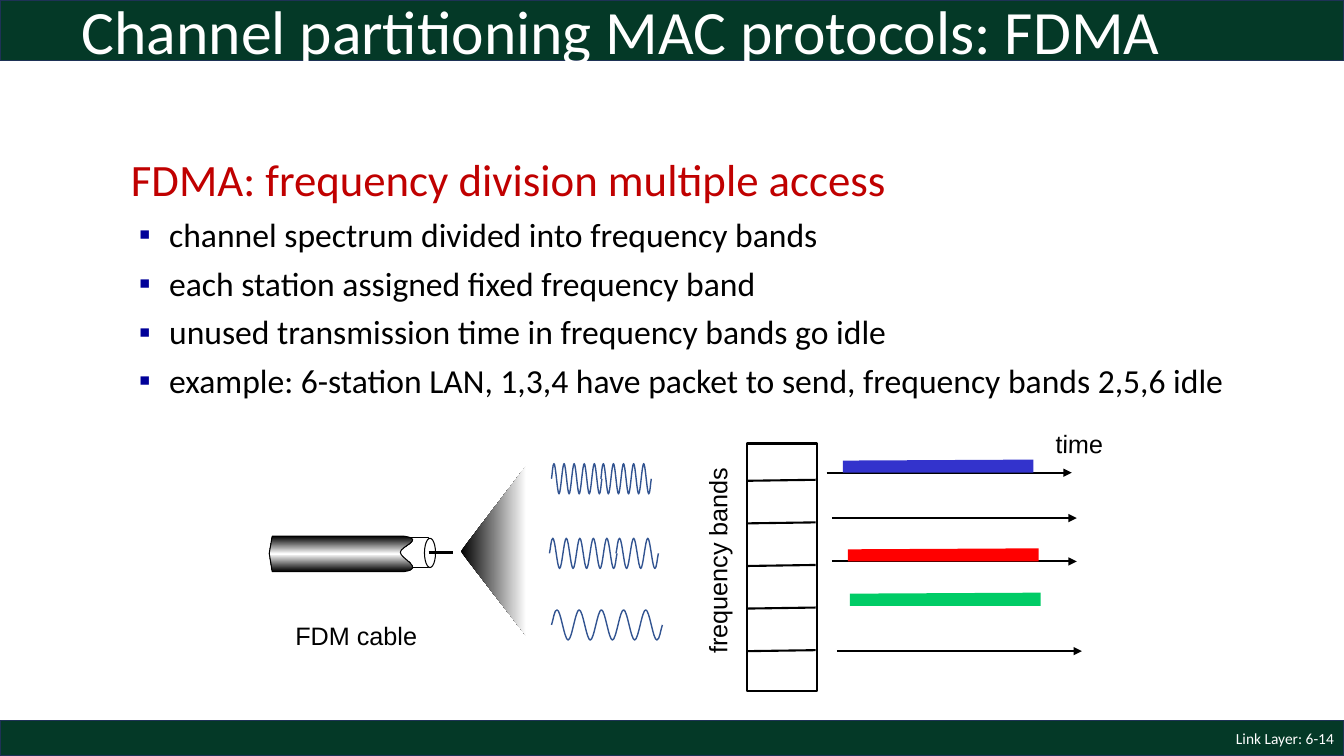
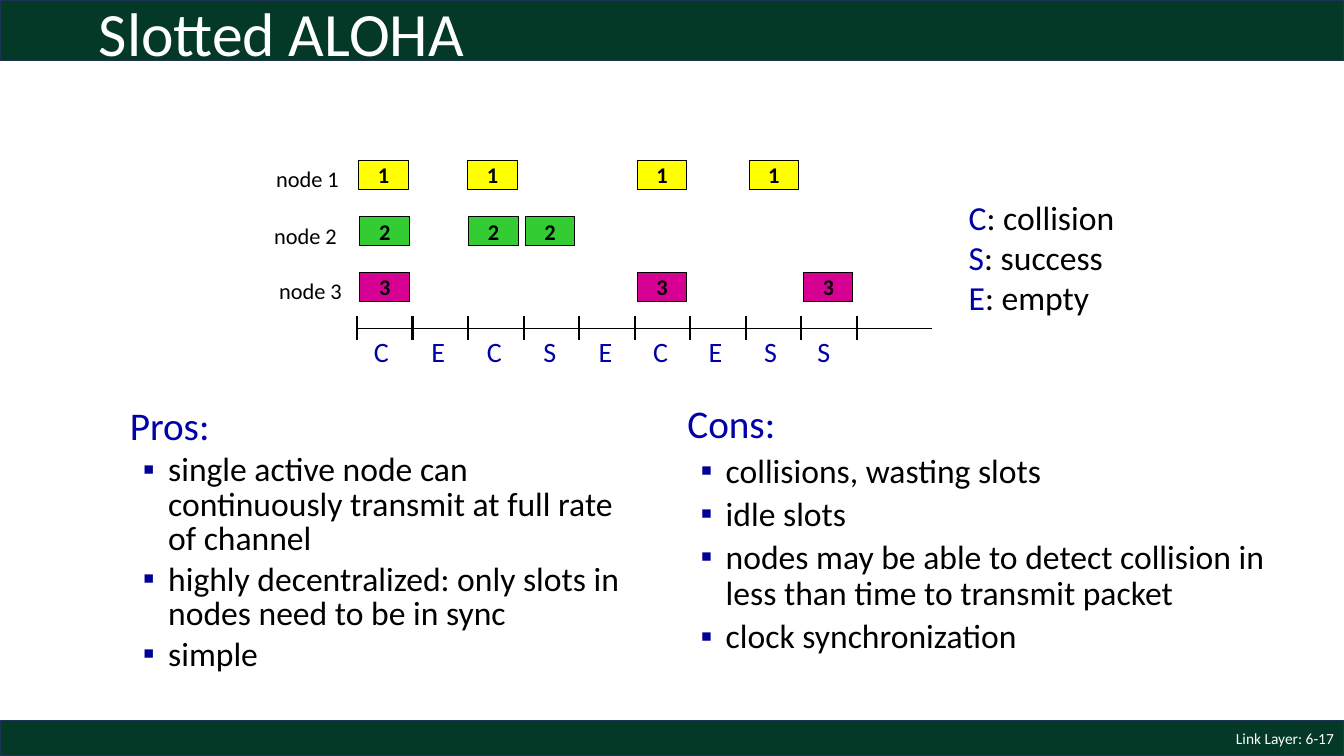
from copy import deepcopy

from lxml import etree
from pptx import Presentation
from pptx.dml.color import RGBColor
from pptx.enum.shapes import MSO_CONNECTOR, MSO_SHAPE
from pptx.enum.text import MSO_ANCHOR, MSO_AUTO_SIZE, PP_ALIGN
from pptx.oxml.ns import qn
from pptx.util import Inches, Pt

RECTANGLE, ELLIPSE = MSO_SHAPE.RECTANGLE, MSO_SHAPE.OVAL
STRAIGHT = MSO_CONNECTOR.STRAIGHT
TOP, MIDDLE = MSO_ANCHOR.TOP, MSO_ANCHOR.MIDDLE
LEFT, CENTER, RIGHT = PP_ALIGN.LEFT, PP_ALIGN.CENTER, PP_ALIGN.RIGHT
FIXED, GROW = MSO_AUTO_SIZE.NONE, MSO_AUTO_SIZE.SHAPE_TO_FIT_TEXT

BLACK = RGBColor(0x00, 0x00, 0x00)
WHITE = RGBColor(0xFF, 0xFF, 0xFF)
BAND_GREEN = RGBColor(0x04, 0x39, 0x27)
BAND_EDGE = RGBColor(0x1E, 0x32, 0x56)
HEADING_RED = RGBColor(0xC0, 0x00, 0x00)
HEADING_BLUE = RGBColor(0x00, 0x00, 0xA8)
BULLET_BLUE = RGBColor(0x00, 0x00, 0x99)
WAVE_BLUE = RGBColor(0x32, 0x54, 0x91)
BAR_BLUE = RGBColor(0x33, 0x33, 0xCC)
BAR_RED = RGBColor(0xFF, 0x00, 0x00)
BAR_GREEN = RGBColor(0x00, 0xCC, 0x66)
NODE_YELLOW = RGBColor(0xFF, 0xFF, 0x00)
NODE_GREEN = RGBColor(0x33, 0xCC, 0x33)
NODE_PINK = RGBColor(0xD6, 0x00, 0x93)

WIDTH, HEIGHT = 13.33, 7.5
FOOTER_TOP, FOOTER_HEIGHT = 7.15, 0.35


class LectureDeck:
    """Holds the lecture style and draws on the current slide."""

    def __init__(self):
        self.deck = Presentation()
        self.deck.slide_width, self.deck.slide_height = Inches(WIDTH), Inches(HEIGHT)
        self.layout = self.deck.slide_layouts[5]
        self.page = None

    def add_page(self, title, left, top, number):
        """Start a slide with its title and footer."""
        self.page = self.deck.slides.add_slide(self.layout)
        if len(self.deck.slides) == 1:
            self.add_bands_to_layout()
        holder = self.page.shapes.title
        holder.left, holder.top = Inches(left), Inches(top)
        holder.width, holder.height = Inches(11.5), Inches(0.98)
        frame = holder.text_frame
        frame.text = title
        frame.auto_size, frame.vertical_anchor = FIXED, MIDDLE
        para = frame.paragraphs[0]
        para.alignment, para.line_spacing = LEFT, 0.9
        self.set_font(para, 44, WHITE)
        self.text_box(10.33, FOOTER_TOP, 3, FOOTER_HEIGHT, f"Link Layer: {number}",
                      11, WHITE, align=RIGHT, anchor=MIDDLE)

    def add_bands_to_layout(self):
        """Place the top and bottom bands behind the layout's placeholders."""
        for top, height in ((0, 0.6), (FOOTER_TOP, FOOTER_HEIGHT)):
            band = self.shape(RECTANGLE, 0, top, WIDTH, height, BAND_GREEN, BAND_EDGE, 1)
            self.layout.shapes.element.insert(2, band.element)

    def set_font(self, para, size, color, name="Calibri", bold=None):
        """Set the font of a whole paragraph."""
        font = para.font
        font.name, font.size, font.bold = name, Pt(size), bold
        font.color.rgb = color

    def set_style(self, shape, fill, line, weight):
        """Set fill and outline, where None means there is none."""
        shape.shadow.inherit = False
        if fill is None:
            shape.fill.background()
        else:
            shape.fill.solid()
            shape.fill.fore_color.rgb = fill
        if line is None:
            shape.line.fill.background()
        else:
            shape.line.color.rgb = line
            shape.line.width = Pt(weight)
        return shape

    def shape(self, kind, left, top, width, height, fill, line=BLACK, weight=0.75):
        """Draw a preset shape."""
        shape = self.page.shapes.add_shape(
            kind, Inches(left), Inches(top), Inches(width), Inches(height))
        return self.set_style(shape, fill, line, weight)

    def outline(self, points, fill=None, line=None, weight=1, close=False, curves_from=None):
        """Draw a freeform whose segments turn into cubic curves from an index on."""
        corners = [(Inches(x), Inches(y)) for x, y in points]
        builder = self.page.shapes.build_freeform(*corners[0], scale=1.0)
        builder.add_line_segments(corners[1:], close=close)
        shape = builder.convert_to_shape()
        if curves_from is not None:
            segments = shape.element.spPr.findall(".//" + qn("a:lnTo"))[curves_from:]
            for start in range(0, len(segments), 3):
                curve = etree.Element(qn("a:cubicBezTo"))
                segments[start].addprevious(curve)
                for segment in segments[start:start + 3]:
                    curve.append(segment[0])
                    segment.getparent().remove(segment)
        return self.set_style(shape, fill, line, weight)

    def wave(self, left, middle, width, cycles):
        """Draw a wave with one curve between neighbouring crests."""
        quarter, height = width / cycles / 4, 0.15
        points = [(left, middle), (left + quarter / 3, middle - height / 3),
                  (left + quarter / 2, middle - height), (left + quarter, middle - height)]
        for index in range(1, 2 * cycles):
            x = left + quarter * (2 * index + 1)
            y = middle + height * (1 if index % 2 else -1)
            points += [(x - quarter * 4 / 3, points[-1][1]), (x - quarter * 2 / 3, y), (x, y)]
        right = left + width
        points += [(right - quarter / 2, middle + height),
                   (right - quarter / 3, middle + height / 3), (right, middle)]
        self.outline(points, line=WAVE_BLUE, curves_from=0)

    def gradient(self, shape, colors, angle):
        """Fill a shape with evenly spaced gradient colours."""
        shape.fill.gradient()
        shape.fill.gradient_angle = angle
        stop_list = shape.element.spPr.find(".//" + qn("a:gsLst"))
        while len(stop_list) < len(colors):
            stop_list.append(deepcopy(stop_list[0]))
        for index, stop in enumerate(shape.fill.gradient_stops):
            stop.color.rgb = colors[index]
            stop.position = index / (len(colors) - 1)

    def line(self, start, end, weight=1.5, arrow=False):
        """Draw a straight black line, with an arrowhead if wanted."""
        ends = [Inches(value) for value in (*start, *end)]
        connector = self.page.shapes.add_connector(STRAIGHT, *ends)
        connector.line.color.rgb = BLACK
        connector.line.width = Pt(weight)
        properties = connector.element.spPr
        if arrow:
            etree.SubElement(properties.find(qn("a:ln")), qn("a:tailEnd"), type="triangle")
        etree.SubElement(properties, qn("a:effectLst"))

    def text_box(self, left, top, width, height, text, size, color,
                 name="Calibri", align=LEFT, anchor=TOP):
        """Draw a fixed text box with one paragraph."""
        box = self.page.shapes.add_textbox(
            Inches(left), Inches(top), Inches(width), Inches(height))
        frame = box.text_frame
        frame.word_wrap, frame.vertical_anchor = True, anchor
        para = frame.paragraphs[0]
        para.text, para.alignment = text, align
        self.set_font(para, size, color, name)
        return box

    def label(self, left, top, width, height, text, size, color=BLACK,
              name="Calibri", rotation=0):
        """Draw a one-line label that fits its text."""
        box = self.text_box(left, top, width, height, text, size, color, name)
        box.text_frame.word_wrap, box.text_frame.auto_size = False, GROW
        box.rotation = rotation
        return box

    def bullet_list(self, left, top, width, height, heading, size, color, items,
                    hanging, heading_spacing, spacing, before):
        """Draw a coloured heading followed by bulleted items."""
        box = self.text_box(left, top, width, height, heading, size, color)
        para = box.text_frame.paragraphs[0]
        para.line_spacing, para.space_before = heading_spacing, Pt(size / 5)
        for item in items:
            para = box.text_frame.add_paragraph()
            para.text = item
            para.line_spacing, para.space_before = spacing, Pt(before)
            self.add_bullet(para, hanging)
            self.set_font(para, 24, BLACK)

    def add_bullet(self, para, hanging):
        """Give a paragraph a square bullet and a hanging indent."""
        properties = para._p.get_or_add_pPr()
        properties.set("marL", str(Inches(0.38)))
        properties.set("indent", str(-Inches(hanging)))
        color = etree.SubElement(properties, qn("a:buClr"))
        etree.SubElement(color, qn("a:srgbClr"), val=str(BULLET_BLUE))
        etree.SubElement(properties, qn("a:buFont"), typeface="Arial")
        etree.SubElement(properties, qn("a:buChar"), char="▪")

    def packet(self, left, top, text, fill):
        """Draw a numbered packet."""
        frame = self.shape(RECTANGLE, left, top, 0.49, 0.29, fill).text_frame
        frame.margin_left = frame.margin_right = frame.margin_top = frame.margin_bottom = 0
        frame.vertical_anchor = MIDDLE
        para = frame.paragraphs[0]
        para.text, para.alignment = text, CENTER
        self.set_font(para, 16, BLACK, bold=True)


def draw_cable(lecture):
    """Draw the cable, its cone of light and the carrier waves."""
    cone = lecture.outline([(5.22, 4.62), (4.57, 5.47), (5.22, 6.31)], WHITE, close=True)
    lecture.gradient(cone, (BLACK, WHITE), 0)
    lecture.shape(RECTANGLE, 3.96, 5.33, 0.29, 0.3, WHITE)
    body = lecture.outline(
        [(4.01, 5.32), (2.7, 5.32), (2.67, 5.49), (2.7, 5.67), (4.01, 5.67),
         (4.22, 5.64), (3.97, 5.54), (3.97, 5.48),
         (3.97, 5.42), (4.22, 5.35), (4.01, 5.32)],
        WHITE, BLACK, 0.75, close=True, curves_from=4)
    lecture.gradient(body, (BLACK, WHITE, BLACK), 90)
    lecture.shape(ELLIPSE, 4.21, 5.34, 0.11, 0.29, WHITE)
    lecture.line((4.25, 5.48), (4.49, 5.48), 2.25)
    lecture.label(2.83, 6.1, 1.41, 0.4, "FDM cable", 18, name="Arial")
    for left, middle, width, cycles in (
            (5.47, 6.2, 1.1, 5), (5.47, 4.75, 0.5, 5), (5.96, 4.75, 0.5, 5),
            (5.45, 5.49, 0.67, 5), (6.11, 5.49, 0.42, 3)):
        lecture.wave(left, middle, width, cycles)


def draw_frequency_bands(lecture):
    """Draw the stack of bands with the traffic of each one over time."""
    lecture.shape(RECTANGLE, 7.41, 4.4, 0.69, 2.46, WHITE, weight=1.5)
    first, last = 4.77, 6.46
    for index in range(5):
        top = first + (last - first) * index / 4
        lecture.line((7.41, top), (8.09, top - 0.01))
    for left, top in ((8.2, 4.69), (8.25, 5.14), (8.25, 5.57), (8.3, 6.46)):
        lecture.line((left, top), (left + 2.43, top), arrow=True)
    for left, bottom, color in (
            (8.36, 4.69, BAR_BLUE), (8.41, 5.57, BAR_RED), (8.43, 6.01, BAR_GREEN)):
        right = left + 1.89
        lecture.outline([(left, bottom), (left, bottom - 0.12),
                         (right, bottom - 0.13), (right, bottom)], color)
    lecture.label(6.09, 5.36, 2.05, 0.4, "frequency bands", 18, name="Arial", rotation=270)
    lecture.label(10.37, 4.2, 0.67, 0.4, "time", 18, name="Arial", rotation=1.1)


def draw_slots(lecture):
    """Draw the packets of three nodes above a slotted time line."""
    nodes = ((2.64, 1.59, NODE_YELLOW, (3.56, 4.64, 6.32, 7.43)),
             (2.62, 2.15, NODE_GREEN, (3.57, 4.65, 5.21)),
             (2.67, 2.7, NODE_PINK, (3.57, 6.32, 7.97)))
    for number, (label_left, top, color, lefts) in enumerate(nodes, 1):
        lecture.label(label_left, top, 0.83, 0.37, f"node {number}", 16)
        for left in lefts:
            lecture.packet(left, top, str(number), color)
    first, last = 3.54, 8.5
    lecture.line((first, 3.26), (9.24, 3.26), 0.75)
    for index in range(10):
        left = first + (last - first) * index / 9
        lecture.line((left, 3.14), (left, 3.37))
    for outcome, lefts in (("C", (3.61, 4.73, 6.38)), ("S", (5.29, 7.48, 8.01)),
                           ("E", (4.18, 5.84, 6.93))):
        for left in lefts:
            lecture.label(left, 3.27, 0.34, 0.44, outcome, 20, HEADING_BLUE)


def draw_legend(lecture):
    """Explain the letters below the time line."""
    frame = lecture.label(9.51, 1.9, 1.66, 1.31, "", 24).text_frame
    for index, (letter, meaning) in enumerate(
            (("C", "collision"), ("S", "success"), ("E", "empty"))):
        para = frame.add_paragraph() if index else frame.paragraphs[0]
        lecture.set_font(para, 24, BLACK)
        span = para.add_run()
        span.text = letter
        span.font.color.rgb = HEADING_BLUE
        para.add_run().text = f": {meaning}"


def main():
    """Build and save both slides."""
    lecture = LectureDeck()

    lecture.add_page("Channel partitioning MAC protocols: FDMA", 0.71, -0.15, "6-14")
    lecture.bullet_list(
        1.2, 1.54, 11.44, 2.62, "FDMA: frequency division multiple access", 32, HEADING_RED,
        ("channel spectrum divided into frequency bands",
         "each station assigned fixed frequency band",
         "unused transmission time in frequency bands go idle",
         "example: 6-station LAN, 1,3,4 have packet to send, frequency bands 2,5,6 idle"),
        hanging=0.3, heading_spacing=0.85, spacing=1.0, before=5.9)
    draw_frequency_bands(lecture)
    draw_cable(lecture)

    lecture.add_page("Slotted ALOHA", 0.88, -0.13, "6-17")
    lecture.bullet_list(
        1.19, 4, 5.3, 3.5, "Pros:", 28, HEADING_BLUE,
        ("single active node can continuously transmit at full rate of channel",
         "highly decentralized: only slots in nodes need to be in sync",
         "simple"),
        hanging=0.25, heading_spacing=0.85, spacing=0.85, before=4.6)
    lecture.bullet_list(
        6.72, 3.97, 6.1, 3, "Cons:", 28, HEADING_BLUE,
        ("collisions, wasting slots", "idle slots",
         "nodes may be able to detect collision in less than time to transmit packet",
         "clock synchronization"),
        hanging=0.25, heading_spacing=0.9, spacing=0.9, before=4.8)
    draw_slots(lecture)
    draw_legend(lecture)

    lecture.deck.save("out.pptx")


if __name__ == "__main__":
    main()
